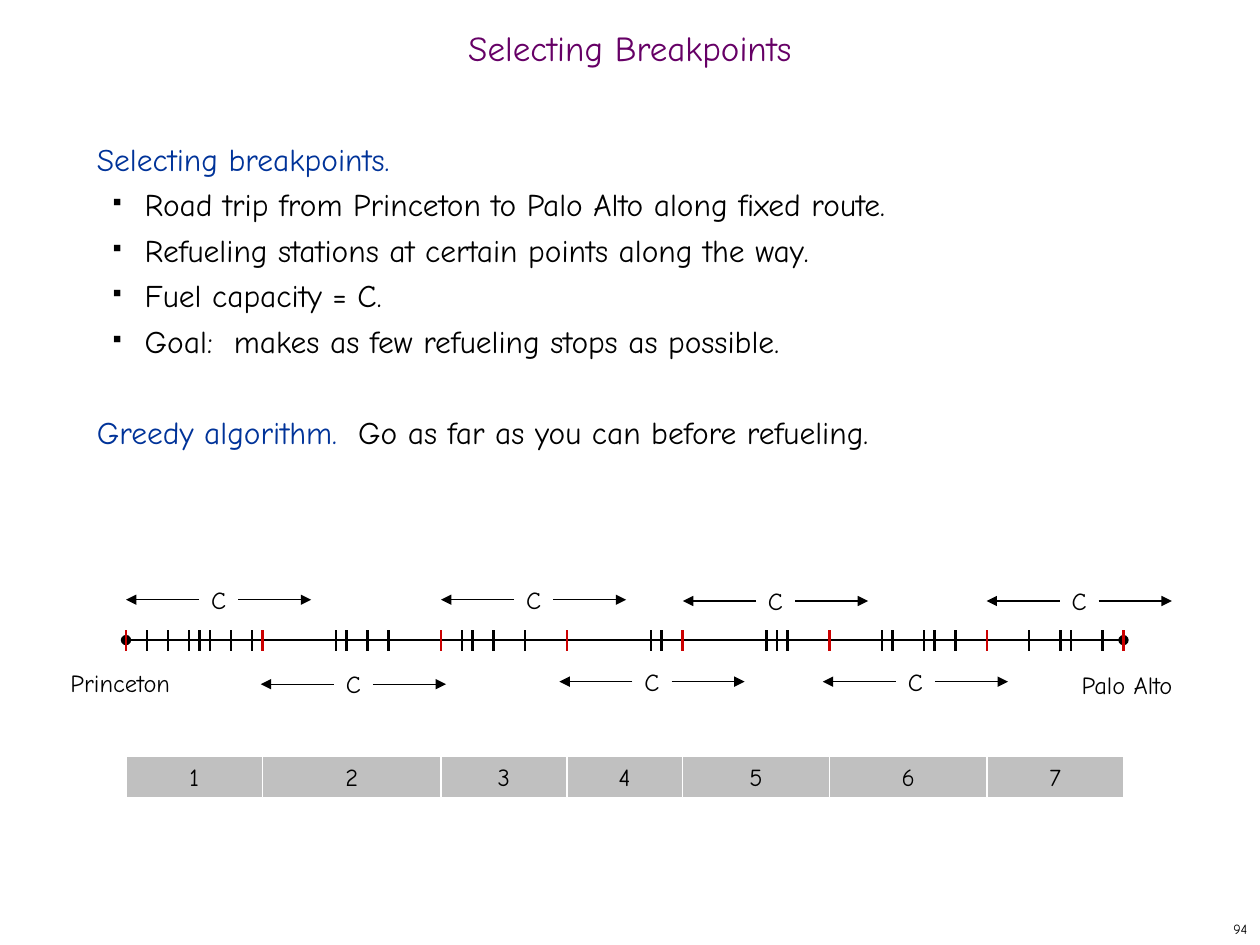
from lxml import etree
from pptx import Presentation
from pptx.dml.color import RGBColor
from pptx.enum.shapes import MSO_CONNECTOR, MSO_SHAPE
from pptx.enum.text import MSO_ANCHOR, MSO_AUTO_SIZE, PP_ALIGN
from pptx.oxml.ns import qn
from pptx.util import Inches, Pt

STRAIGHT = MSO_CONNECTOR.STRAIGHT
RECTANGLE = MSO_SHAPE.RECTANGLE
MIDDLE = MSO_ANCHOR.MIDDLE
NO_AUTOFIT = MSO_AUTO_SIZE.NONE
CENTER, RIGHT = PP_ALIGN.CENTER, PP_ALIGN.RIGHT
FONT = "Comic Neue"
BLACK, RED, BLUE, PURPLE = "000000", "CC0000", "003399", "660066"
GRAY, WHITE = "C0C0C0", "FFFFFF"
color = RGBColor.from_string


def write(shape, text, size, ink=BLACK, align=CENTER, wrap=False):
    frame = shape.text_frame
    frame_format = {"word_wrap": wrap, "auto_size": NO_AUTOFIT, "vertical_anchor": MIDDLE}
    for name, value in frame_format.items():
        setattr(frame, name, value)
    para = frame.paragraphs[0]
    para.alignment = align
    span = para.add_run()
    span.text = text
    for name, value in {"name": FONT, "size": Pt(size), "bold": False}.items():
        setattr(span.font, name, value)
    span.font.color.rgb = color(ink)
    return para


def draw_line(x1, y1, x2, y2, width=0.75, ink=BLACK, head=None, tail=None):
    line = page.shapes.add_connector(STRAIGHT, Inches(x1), Inches(y1), Inches(x2), Inches(y2))
    line.line.color.rgb = color(ink)
    line.line.width = Pt(width)
    properties = line._element.spPr
    outline = properties.find(qn("a:ln"))
    for tag, kind in (("a:headEnd", head), ("a:tailEnd", tail)):
        if kind:
            etree.SubElement(outline, qn(tag), type=kind)
    etree.SubElement(properties, qn("a:effectLst"))
    return line


deck = Presentation()
deck.slide_width, deck.slide_height = Inches(10), Inches(7.5)
page = deck.slides.add_slide(deck.slide_layouts[5])

title = page.shapes.title
title.left, title.top, title.width, title.height = Inches(0), Inches(0.17), Inches(10), Inches(0.5)
write(title, "Selecting Breakpoints", 20, PURPLE, wrap=True).line_spacing = 0.7

number = page.shapes.add_textbox(Inches(7.92), Inches(7.25), Inches(2.08), Inches(0.25))
write(number, "94", 8, align=RIGHT, wrap=True)

body = page.shapes.add_textbox(Inches(0.67), Inches(1), Inches(8.58), Inches(5.92))
body.text_frame.word_wrap = True
paragraphs = [
    (False, 0, [("Selecting breakpoints.", BLUE)]),
    (True, 0, [("Road trip from Princeton to Palo Alto along fixed route.", BLACK)]),
    (True, 0, [("Refueling stations at certain points along the way.", BLACK)]),
    (True, 0, [("Fuel capacity = C.", BLACK)]),
    (True, 0, [("Goal:  makes as few refueling stops as possible.", BLACK)]),
    (False, 26, [("Greedy algorithm.  ", BLUE), ("Go as far as you can before refueling.", BLACK)]),
]
for index, (bulleted, gap, spans) in enumerate(paragraphs):
    para = body.text_frame.add_paragraph() if index else body.text_frame.paragraphs[0]
    para.line_spacing = Pt(26)
    para.space_before = Pt(gap)
    if bulleted:
        para.level = 1
        properties = para._p.get_or_add_pPr()
        properties.set("marL", str(Inches(0.38)))
        properties.set("indent", str(Inches(-0.25)))
        bullet_color = etree.SubElement(properties, qn("a:buClr"))
        etree.SubElement(bullet_color, qn("a:srgbClr"), val=BLACK)
        etree.SubElement(properties, qn("a:buSzPct"), val="35000")
        etree.SubElement(properties, qn("a:buChar"), char="■")
    for name, value in {"name": FONT, "size": Pt(18)}.items():
        setattr(para.font, name, value)
    for text, ink in spans:
        span = para.add_run()
        span.text = text
        for name, value in {"name": FONT, "size": Pt(18)}.items():
            setattr(span.font, name, value)
        span.font.color.rgb = color(ink)

# Positions along the route are in twelfths of an inch.
stops = [12, 25, 42, 54, 65, 79, 94, 107]
stations = [14, 16, 18, 19, 20, 22, 24, 32, 33, 35, 37, 44, 45, 47, 50, 62, 63, 73, 74, 75,
            84, 85, 88, 89, 91, 98, 101, 102, 105]
draw_line(stops[0] / 12, 5.08, stops[-1] / 12, 5.08, head="oval", tail="oval")

for text, left, top, width in (("Princeton", 0.43, 5.23, 1.05), ("Palo Alto", 8.44, 5.25, 1.01)):
    place = page.shapes.add_textbox(Inches(left), Inches(top), Inches(width), Inches(0.37))
    write(place, text, 14)

for index, (start, end) in enumerate(zip(stops, stops[1:]), 1):
    leg = page.shapes.add_shape(
        RECTANGLE, Inches(start / 12), Inches(6), Inches((end - start) / 12), Inches(0.33))
    leg.shadow.inherit = False
    leg.fill.solid()
    leg.fill.fore_color.rgb = color(GRAY)
    leg.line.color.rgb = color(WHITE)
    leg.line.width = Pt(0.75)
    write(leg, str(index), 14)

reaches = [(1, 4.76), (2.07, 5.43), (3.5, 4.76), (4.44, 5.41), (5.42, 4.77), (6.53, 5.41), (7.83, 4.77)]
arm, label_width, label_height = 0.58, 0.31, 0.37
for left, y in reaches:
    label_left = left + arm
    label_right = label_left + label_width
    label = page.shapes.add_textbox(
        Inches(label_left), Inches(y - label_height / 2), Inches(label_width), Inches(label_height))
    write(label, "C", 14)
    for side, x, tip in ((1, label_left, left), (3, label_right, label_right + arm)):
        arrow = draw_line(x, y, tip, y, tail="triangle")
        arrow.begin_connect(label, side)
        arrow.end_y = arrow.begin_y

for position in sorted(stops + stations):
    draw_line(position / 12, 5, position / 12, 5.17, 1.25, RED if position in stops else BLACK)

deck.save("out.pptx")
